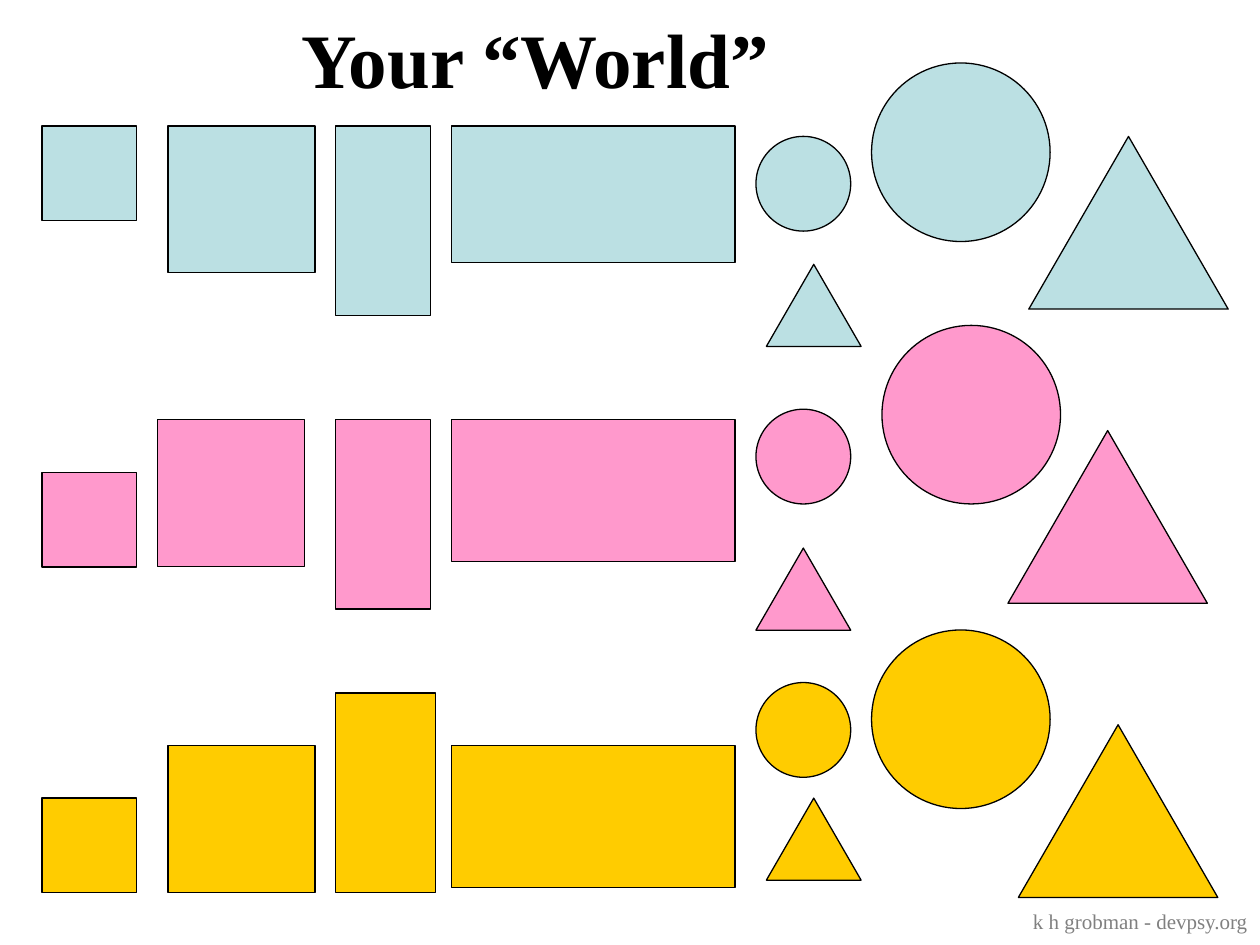
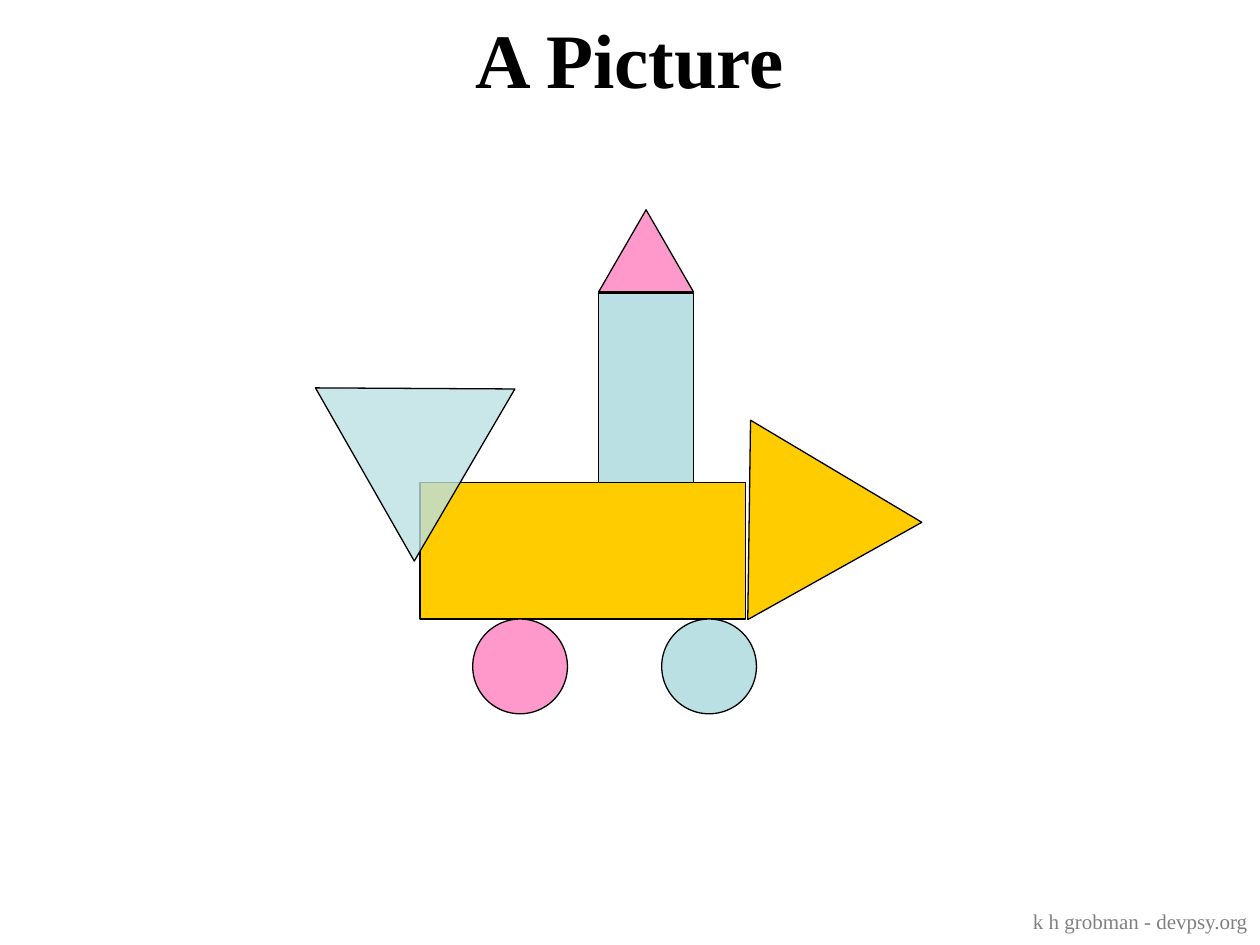
from dataclasses import dataclass
from math import sqrt

from lxml import etree
from pptx import Presentation
from pptx.dml.color import RGBColor
from pptx.enum import shapes, text
from pptx.oxml import ns
from pptx.util import Cm, Pt


@dataclass(frozen=True)
class Theme:
    blue: str = "BBE0E3"
    pink: str = "FF99CC"
    gold: str = "FFCC00"
    ink: str = "000000"
    grey: str = "808080"
    font: str = "Times New Roman"
    title_size: float = 44
    footer_size: float = 12
    outline: float = 0.75


THEME = Theme()
SLIDE_W, SLIDE_H = 25.4, 19.05
TITLE_H = 2.33
FOOTER_W, FOOTER_H = 5.08, 0.76
FOOTER_TEXT = "k h grobman - devpsy.org"

RECT = shapes.MSO_SHAPE.RECTANGLE
OVAL = shapes.MSO_SHAPE.OVAL
TRIANGLE = shapes.MSO_SHAPE.ISOSCELES_TRIANGLE

# Building blocks: preset, width, height in cm; triangles are equilateral
SMALL, LARGE_TRIANGLE = 1.91, 4.02
EQUILATERAL = sqrt(3) / 2
BLOCKS = {
    "small square": (RECT, SMALL, SMALL),
    "large square": (RECT, 2.96, 2.96),
    "tower": (RECT, SMALL, 2 * SMALL),
    "big tower": (RECT, 2.01, 4.02),
    "low beam": (RECT, 5.72, 2.75),
    "beam": (RECT, 5.72, 2.86),
    "long beam": (RECT, 6.56, 2.75),
    "small circle": (OVAL, SMALL, SMALL),
    "large circle": (OVAL, 3.6, 3.6),
    "small triangle": (TRIANGLE, SMALL, SMALL * EQUILATERAL),
    "large triangle": (TRIANGLE, LARGE_TRIANGLE, LARGE_TRIANGLE * EQUILATERAL),
}

# Rows of the world: colour, top of the row, then block: (left, top in the row)
WORLD_ROWS = [
    (THEME.blue, 1.27, {
        "small square": (0.85, 1.27), "large square": (3.39, 1.27),
        "tower": (6.77, 1.27), "low beam": (9.1, 1.27),
        "small circle": (15.24, 1.48), "large circle": (17.57, 0),
        "small triangle": (15.45, 4.06), "large triangle": (20.74, 1.48)}),
    (THEME.pink, 6.56, {
        "small square": (0.85, 2.96), "large square": (3.18, 1.9),
        "tower": (6.77, 1.9), "beam": (9.1, 1.9),
        "small circle": (15.24, 1.69), "large circle": (17.78, 0),
        "small triangle": (15.24, 4.49), "large triangle": (20.32, 2.12)}),
    (THEME.gold, 12.7, {
        "small square": (0.85, 3.39), "large square": (3.39, 2.33),
        "big tower": (6.77, 1.27), "beam": (9.1, 2.33),
        "small circle": (15.24, 1.06), "large circle": (17.57, 0),
        "small triangle": (15.45, 3.39), "large triangle": (20.53, 1.91)}),
]


def add_block(slide, kind, left, top, colour, rotation=0, opacity=100):
    preset, width, height = BLOCKS[kind]
    block = slide.shapes.add_shape(preset, Cm(left), Cm(top), Cm(width), Cm(height))
    block.shadow.inherit = False
    block.rotation = rotation
    block.fill.solid()
    block.fill.fore_color.rgb = RGBColor.from_string(colour)
    block.line.color.rgb = RGBColor.from_string(THEME.ink)
    block.line.width = Pt(THEME.outline)
    if opacity < 100:
        tint = block.fill._xPr.find(".//" + ns.qn("a:srgbClr"))
        etree.SubElement(tint, ns.qn("a:alpha"), val=str(opacity * 1000))


def write(frame, words, size, colour, align, bold=False):
    frame.word_wrap = True
    line = frame.paragraphs[0]
    line.alignment = align
    run = line.add_run()
    run.text = words
    run.font.name = THEME.font
    run.font.size = Pt(size)
    run.font.bold = bold
    run.font.color.rgb = RGBColor.from_string(colour)


def add_footer(slide, left, top):
    footer = slide.shapes.add_textbox(Cm(left), Cm(top), Cm(FOOTER_W), Cm(FOOTER_H))
    write(footer.text_frame, FOOTER_TEXT, THEME.footer_size, THEME.grey,
          text.PP_ALIGN.RIGHT)
    footer.text_frame.auto_size = text.MSO_AUTO_SIZE.SHAPE_TO_FIT_TEXT


def new_slide(deck, heading, title_width=SLIDE_W):
    slide = deck.slides.add_slide(deck.slide_layouts[5])
    title = slide.shapes.title
    title.left, title.top = Cm(0), Cm(0)
    title.width, title.height = Cm(title_width), Cm(TITLE_H)
    title.text_frame.vertical_anchor = text.MSO_ANCHOR.MIDDLE
    write(title.text_frame, heading, THEME.title_size, THEME.ink,
          text.PP_ALIGN.CENTER, bold=True)
    add_footer(slide, SLIDE_W - FOOTER_W, 18.2)
    return slide


def draw_row(slide, row_top, colour, places):
    for kind, (left, top) in places.items():
        add_block(slide, kind, left, row_top + top, colour)


def draw_train(slide, left, top):
    # Chimney and body
    chimney_left, body_top = left + 5.72, top + 5.5
    add_block(slide, "tower", chimney_left, body_top - 2 * SMALL, THEME.blue)
    add_block(slide, "long beam", left + 2.12, body_top, THEME.gold)
    # Wheels
    wheel_top = body_top + BLOCKS["long beam"][2]
    for wheel_left, colour in ((6.99, THEME.blue), (3.18, THEME.pink)):
        add_block(slide, "small circle", left + wheel_left, wheel_top, colour)
    # Roof, nose and see-through funnel
    add_block(slide, "small triangle", chimney_left, top, THEME.pink)
    add_block(slide, "large triangle", left + 7.62, top + 4.02, THEME.gold,
              rotation=330.8)
    add_block(slide, "large triangle", left, top + 3.6, THEME.blue,
              rotation=180.3, opacity=79)


def main():
    deck = Presentation()
    deck.slide_width, deck.slide_height = Cm(SLIDE_W), Cm(SLIDE_H)

    # All the blocks
    world = new_slide(deck, "Your “World”", title_width=21.59)
    for colour, row_top, places in WORLD_ROWS:
        draw_row(world, row_top, colour, places)

    # Some blocks put together
    draw_train(new_slide(deck, "A Picture"), 6.35, 4.23)

    deck.save("out.pptx")


if __name__ == "__main__":
    main()
